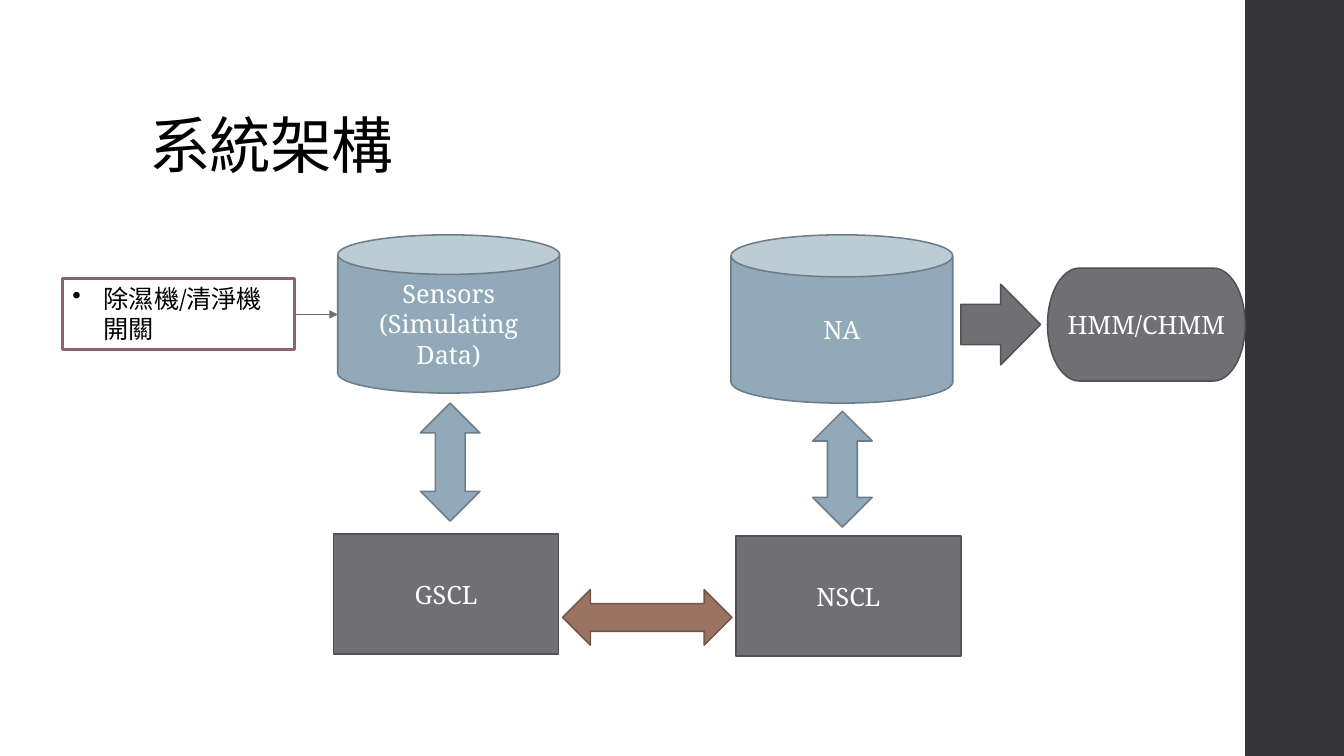
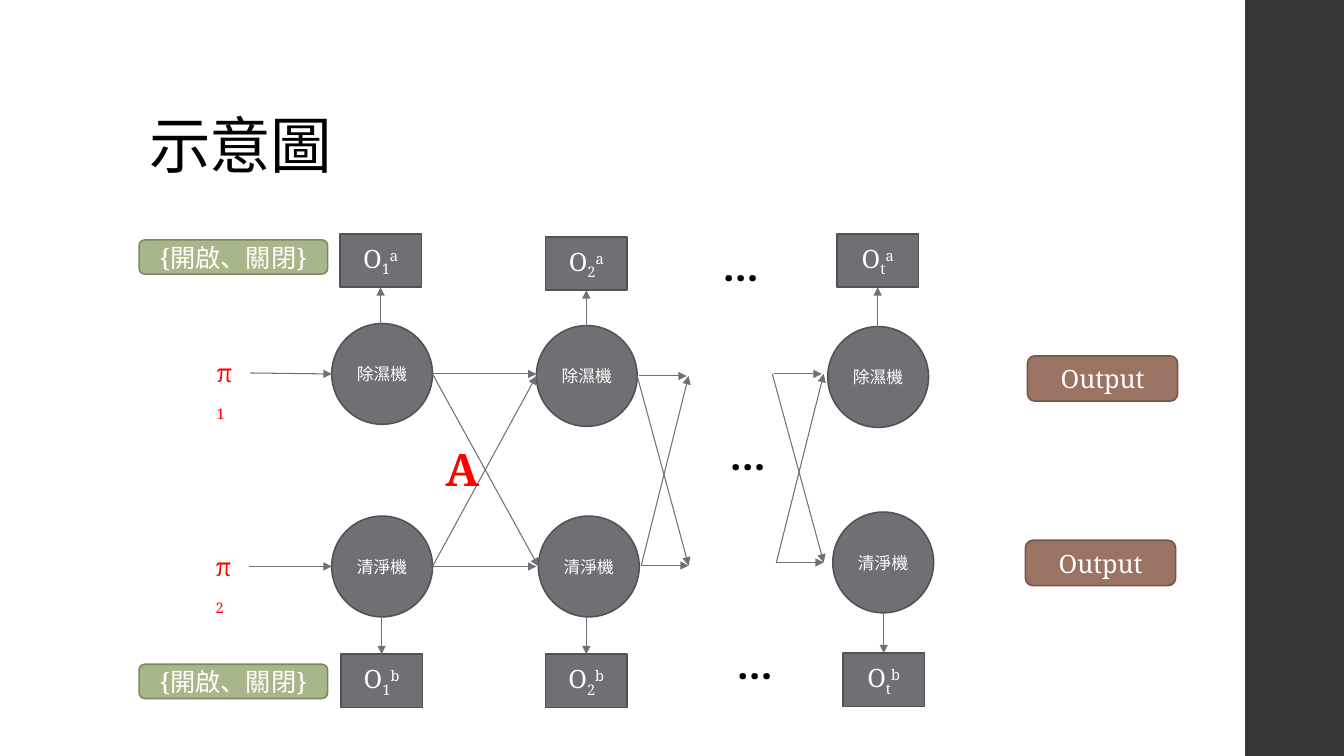
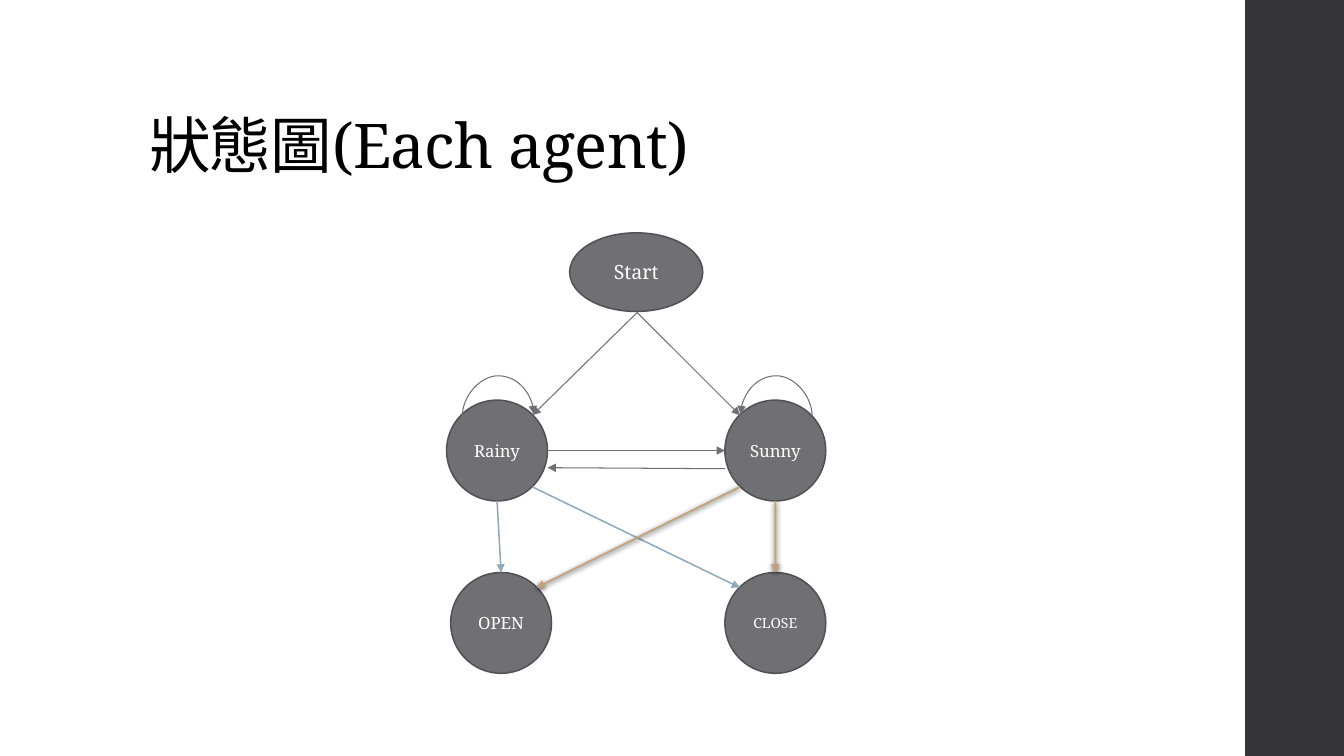
from dataclasses import dataclass

from lxml import etree
from pptx import Presentation
from pptx.dml.color import RGBColor
from pptx.enum.shapes import MSO_CONNECTOR, MSO_SHAPE
from pptx.enum.text import MSO_ANCHOR, PP_ALIGN
from pptx.oxml.ns import qn
from pptx.util import Inches, Pt

RECTANGLE, ROUNDED, ELLIPSE = MSO_SHAPE.RECTANGLE, MSO_SHAPE.ROUNDED_RECTANGLE, MSO_SHAPE.OVAL
CAN, TERMINATOR = MSO_SHAPE.CAN, MSO_SHAPE.FLOWCHART_TERMINATOR
UP_DOWN, LEFT_RIGHT, RIGHT = (
    MSO_SHAPE.UP_DOWN_ARROW, MSO_SHAPE.LEFT_RIGHT_ARROW, MSO_SHAPE.RIGHT_ARROW)
STRAIGHT, CURVE = MSO_CONNECTOR.STRAIGHT, MSO_CONNECTOR.CURVE
TOP, MIDDLE, BOTTOM = MSO_ANCHOR.TOP, MSO_ANCHOR.MIDDLE, MSO_ANCHOR.BOTTOM
LEFT, CENTER = PP_ALIGN.LEFT, PP_ALIGN.CENTER


@dataclass(frozen=True)
class Theme:
    """Colours, fonts and type sizes; pairs are (fill, outline)."""
    font: str = "Noto Serif"
    asian_font: str = "Noto Sans CJK SC"
    white: str = "FFFFFF"
    black: str = "000000"
    red: str = "FF0000"
    band: str = "353537"
    gold: str = "C1A27A"
    gray: tuple = ("6F6F74", "525256")
    blue: tuple = ("92A9B9", "6C7D89")
    brown: tuple = ("9B7362", "735549")
    green: tuple = ("A7B789", "7C8765")
    plum_frame: tuple = ("FFFFFF", "8D6374")
    title_size: int = 44
    letter_size: int = 32
    dots_size: int = 28
    body_size: int = 18
    start_size: int = 14
    node_size: int = 12
    small_size: int = 10
    outline: float = 1.1
    thin: float = 0.75
    heavy: float = 1.35
    frame: float = 2.25


THEME = Theme()


def add_xml(parent, tag, **attributes):
    """Append a drawing element with the given attributes."""
    return etree.SubElement(parent, qn(tag), attributes)


class Painter:
    """Draws styled elements on the current slide."""

    def __init__(self, deck, theme):
        self.deck, self.theme = deck, theme
        self.page = None

    def new_page(self, title):
        """Start a slide with the side band and its title."""
        self.page = self.deck.slides.add_slide(self.deck.slide_layouts[6])
        self.shape(RECTANGLE, 12.35, 0, 0.98, 7.5, (self.theme.band, None))
        box = self.text(title, 1.38, 0.4, 10.6, 1.45, self.theme.title_size, anchor=BOTTOM)
        para = box.text_frame.paragraphs[0]
        para.line_spacing = 0.9
        para._p.pPr.find(qn("a:defRPr")).set("spc", "-50")

    def set_text(self, box, lines, size, color, align, anchor, bold=False):
        """Fill a box; a line is a string or a list of (text, baseline)."""
        frame = box.text_frame
        frame.word_wrap, frame.vertical_anchor = True, anchor
        for index, line in enumerate(lines):
            para = frame.add_paragraph() if index else frame.paragraphs[0]
            para.alignment = align
            para.font.name, para.font.size, para.font.bold = self.theme.font, Pt(size), bold
            para.font.color.rgb = RGBColor.from_string(color)
            add_xml(para._p.pPr.find(qn("a:defRPr")), "a:ea", typeface=self.theme.asian_font)
            for words, baseline in [(line, 0)] if isinstance(line, str) else line:
                span = para.add_run()
                span.text = words
                if baseline:
                    span._r.get_or_add_rPr().set("baseline", str(baseline * 1000))

    def text(self, line, left, top, width, height, size, color=None, anchor=TOP, bold=False,
             wrap=True):
        """Add a left-aligned text box."""
        box = self.page.shapes.add_textbox(*map(Inches, (left, top, width, height)))
        self.set_text(box, [line], size, color or self.theme.black, LEFT, anchor, bold)
        box.text_frame.word_wrap = wrap
        return box

    def shape(self, kind, left, top, width, height, colors, lines=(), size=None, outline=None):
        """Add a filled preset shape with centred white text."""
        shape = self.page.shapes.add_shape(kind, *map(Inches, (left, top, width, height)))
        shape.shadow.inherit = False
        fill, edge = colors
        shape.fill.solid()
        shape.fill.fore_color.rgb = RGBColor.from_string(fill)
        if edge:
            shape.line.color.rgb = RGBColor.from_string(edge)
            shape.line.width = Pt(outline or self.theme.outline)
        else:
            shape.line.fill.background()
        self.set_text(shape, lines, size or self.theme.body_size, self.theme.white, CENTER, MIDDLE)
        return shape

    def bullet_box(self, line, left, top, width, height):
        """Add a framed box with one bulleted line."""
        box = self.shape(RECTANGLE, left, top, width, height, self.theme.plum_frame,
                         outline=self.theme.frame)
        self.set_text(box, [line], self.theme.body_size, self.theme.black, LEFT, TOP)
        properties = box.text_frame.paragraphs[0]._p.pPr
        properties.set("marL", str(Inches(0.31)))
        properties.set("indent", str(-Inches(0.31)))
        bullet = etree.Element(qn("a:buChar"), char="•")
        properties.find(qn("a:defRPr")).addprevious(bullet)

    def arrow(self, x1, y1, x2, y2, color=None, width=None, glow=False, kind=STRAIGHT):
        """Add a connector with a triangle at its end."""
        link = self.page.shapes.add_connector(kind, *map(Inches, (x1, y1, x2, y2)))
        link.line.color.rgb = RGBColor.from_string(color or self.theme.gray[0])
        link.line.width = Pt(width or self.theme.thin)
        properties = link._element.spPr
        outline = properties.find(qn("a:ln"))
        add_xml(outline, "a:tailEnd", type="triangle")
        effects = add_xml(properties, "a:effectLst")
        if glow:
            add_xml(outline.find(".//" + qn("a:srgbClr")), "a:alpha", val="95000")
            shadow = add_xml(effects, "a:outerShdw", blurRad=str(Pt(4)), dist=str(Pt(1.2)),
                             dir="5400000", rotWithShape="0")
            shade = add_xml(shadow, "a:srgbClr", val=self.theme.black)
            add_xml(shade, "a:alpha", val="75000")
        return link

    def self_loop(self, center, middle, clockwise):
        """Add a curved arrow that rises 0.4 inch above a node."""
        depth, span, rise = 0.02, 0.71, 0.4
        left, top = center - depth / 2, middle - span / 2
        link = self.arrow(left, top, left + depth, top + span, kind=CURVE)
        properties = link._element.spPr
        frame = properties.find(qn("a:xfrm"))
        frame.set("flipV", "1")
        if clockwise:
            frame.set("flipH", "1")
        frame.set("rot", str((90 if clockwise else 270) * 60000))
        geometry = properties.find(qn("a:prstGeom"))
        guides = geometry.find(qn("a:avLst"))
        if guides is None:
            guides = add_xml(geometry, "a:avLst")
        add_xml(guides, "a:gd", name="adj1", fmla=f"val {round(rise / depth * 100000)}")

    def node(self, label, left, top, size=None):
        """Add a round state of one inch."""
        self.shape(ELLIPSE, left, top, 1, 1, self.theme.gray, [label],
                   size or self.theme.node_size)


def architecture(painter):
    """Sensors and services, joined by block arrows."""
    theme = painter.theme
    painter.new_page("系統架構")
    for kind, left, top, width, height, colors, lines in (
        (CAN, 3.35, 2.33, 2.2, 1.57, theme.blue, ["Sensors", "(Simulating Data)"]),
        (RECTANGLE, 3.31, 5.3, 2.23, 1.19, theme.gray, ["GSCL"]),
        (RECTANGLE, 7.3, 5.32, 2.23, 1.19, theme.gray, ["NSCL"]),
        (CAN, 7.25, 2.33, 2.2, 1.67, theme.blue, ["NA"]),
        (UP_DOWN, 4.17, 4, 0.59, 1.17, theme.blue, []),
        (UP_DOWN, 8.06, 4.08, 0.59, 1.15, theme.blue, []),
        (LEFT_RIGHT, 5.58, 5.85, 1.68, 0.55, theme.brown, []),
        (RIGHT, 9.53, 2.82, 0.79, 0.8, theme.gray, []),
        (TERMINATOR, 10.39, 2.66, 1.96, 1.12, theme.gray, ["HMM/CHMM"]),
    ):
        painter.shape(kind, left, top, width, height, colors, lines)
    painter.bullet_box("除濕機/清淨機開關", 0.62, 2.76, 2.3, 0.71)
    painter.arrow(2.92, 3.12, 3.35, 3.12)


def coupled_chains(painter):
    """Two coupled state chains with their observations."""
    theme = painter.theme
    painter.new_page("示意圖")
    box_width, box_height = 0.81, 0.53
    for machine, chain, steps in (
        ("除濕機", "a", (("1", 3.29, 3.21, 3.37, 2.32), ("2", 5.32, 3.23, 5.41, 2.35),
                      ("t", 8.21, 3.24, 8.3, 2.32))),
        ("清淨機", "b", (("1", 3.29, 5.12, 3.38, 6.49), ("2", 5.34, 5.12, 5.41, 6.49),
                      ("t", 8.26, 5.08, 8.36, 6.48))),
    ):
        for step, node_left, node_top, box_left, box_top in steps:
            painter.node(machine, node_left, node_top)
            painter.shape(RECTANGLE, box_left, box_top, box_width, box_height, theme.gray,
                          [[("O", 0), (step, -25), (chain, 30)]])
            center = box_left + box_width / 2
            if box_top < node_top:
                painter.arrow(center, node_top, center, box_top + box_height)
            else:
                painter.arrow(center, node_top + 1, center, box_top)

    for link in (
        (4.29, 3.71, 5.32, 3.71), (4.29, 5.62, 5.32, 5.62),
        (4.29, 5.62, 5.32, 3.73), (4.29, 3.71, 5.34, 5.62),
        (6.34, 3.73, 6.81, 3.73), (6.36, 5.61, 6.83, 5.61),
        (6.36, 5.61, 6.83, 3.73), (6.32, 3.73, 6.83, 5.61),
        (7.68, 3.71, 8.15, 3.71), (7.7, 5.58, 8.17, 5.58),
        (7.7, 5.58, 8.17, 3.71), (7.66, 3.71, 8.17, 5.58),
        (2.48, 3.7, 3.29, 3.71), (2.47, 5.62, 3.29, 5.62),
    ):
        painter.arrow(*link)

    for left, top in ((7.07, 2.35), (7.14, 4.23), (7.21, 6.3)):
        painter.text("…", left, top, 0.48, 0.57, theme.dots_size, bold=True, wrap=False)
    painter.text("A", 4.32, 4.33, 0.47, 0.64, theme.letter_size, theme.red, bold=True, wrap=False)
    for index, left, top in (("1", 2.05, 3.5), ("2", 2.04, 5.42)):
        prior = painter.text([("π", 0), (index, -25)], left, top, 0.43, 0.4,
                             theme.body_size, theme.red)
        prior.text_frame.margin_right = Inches(0.15)
    for top in (2.38, 6.59):
        painter.shape(ROUNDED, 1.38, top, 1.87, 0.34, theme.green, ["{開啟、關閉}"])
    for left, top in ((10.19, 3.53), (10.17, 5.36)):
        painter.shape(ROUNDED, left, top, 1.49, 0.45, theme.brown, ["Output"])


def state_diagram(painter):
    """Weather states and the actions they lead to."""
    theme = painter.theme
    painter.new_page("狀態圖(Each agent)")
    painter.shape(ELLIPSE, 5.65, 2.31, 1.32, 0.78, theme.gray, ["Start"], theme.start_size)
    painter.node("Rainy", 4.43, 3.97)
    painter.node("Sunny", 7.19, 3.97)
    painter.node("OPEN", 4.47, 5.68)
    painter.node("CLOSE", 7.19, 5.68, theme.small_size)
    for link in ((6.32, 3.1, 5.28, 4.12), (6.32, 3.1, 7.34, 4.12),
                 (5.43, 4.47, 7.19, 4.47), (7.19, 4.65, 5.43, 4.64)):
        painter.arrow(*link)
    painter.self_loop(4.94, 4.12, clockwise=True)
    painter.self_loop(7.7, 4.12, clockwise=False)
    for link in ((4.93, 4.97, 4.97, 5.68), (5.28, 4.83, 7.34, 5.83)):
        painter.arrow(*link, color=theme.blue[0], width=theme.outline)
    for link in ((7.34, 4.83, 5.32, 5.83), (7.69, 4.97, 7.69, 5.68)):
        painter.arrow(*link, color=theme.gold, width=theme.heavy, glow=True)


def main():
    """Build the deck and save it."""
    deck = Presentation()
    deck.slide_width, deck.slide_height = Inches(13.33), Inches(7.5)
    painter = Painter(deck, THEME)
    for draw in (architecture, coupled_chains, state_diagram):
        draw(painter)
    deck.save("out.pptx")


main()
